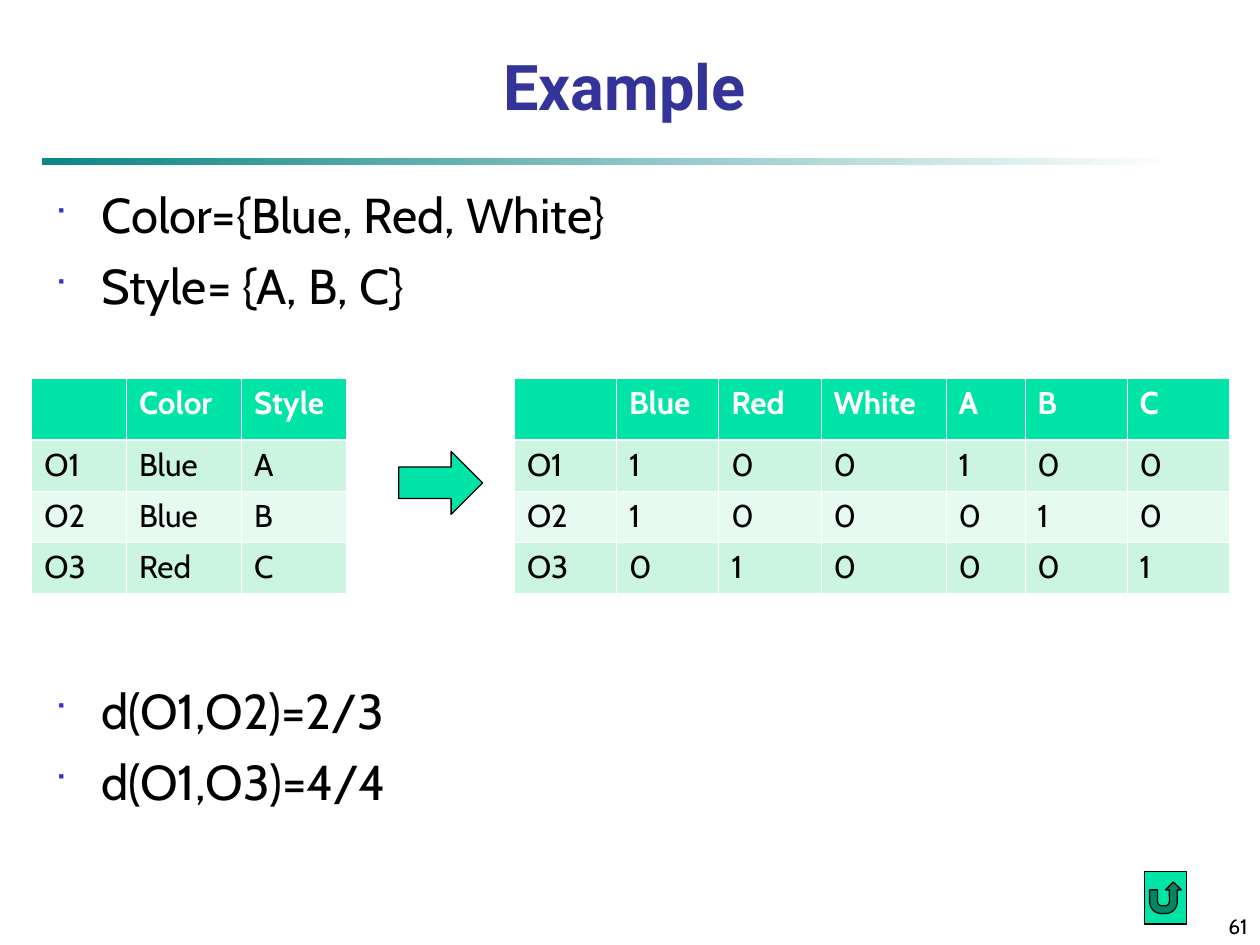
import pptx
import pptx.util
import pptx.dml.color
import pptx.enum.shapes
import pptx.enum.text
import pptx.oxml
import pptx.oxml.ns
from lxml import etree

Cm, Pt = pptx.util.Cm, pptx.util.Pt
Kind = pptx.enum.shapes.MSO_SHAPE
Align = pptx.enum.text.PP_ALIGN
Anchor = pptx.enum.text.MSO_ANCHOR
GREEN, BLACK, WHITE = "00E4A8", "000000", "FFFFFF"


def color(code):
    return pptx.dml.color.RGBColor.from_string(code)


def child(node, tag, **attrs):
    return etree.SubElement(node, pptx.oxml.ns.qn("a:" + tag), **attrs)


def area(*lengths):
    return [Cm(n) for n in lengths]


def write(para, text, font="Cabin", size=18, ink=BLACK, bold=False,
          align=Align.LEFT, before=0):
    para.alignment = align
    para.space_before = Pt(before)
    run = para.add_run()
    run.text = text
    run.font.name, run.font.size, run.font.bold = font, Pt(size), bold
    run.font.color.rgb = color(ink)


def bullet(para):
    """Give the paragraph a hanging indent and a small blue square."""
    props = para._p.get_or_add_pPr()
    indent = Cm(0.95)
    props.set("marL", str(indent))
    props.set("indent", str(-indent))
    child(child(props, "buClr"), "srgbClr", val="3333CC")
    child(props, "buSzPct", val="60000")
    child(props, "buFont", typeface="Wingdings")
    child(props, "buChar", char="■")


def border(cell, bottom, top):
    """Draw white lines around a cell; widths in points."""
    props = cell._tc.get_or_add_tcPr()
    for side, width in (("L", 0.45), ("R", 0.45), ("T", top), ("B", bottom)):
        line = child(props, "ln" + side, w=str(Pt(width)))
        child(child(line, "solidFill"), "srgbClr", val=WHITE)


class Deck:
    thin, thick = 0.45, 1.47
    bands = ("E7FAF1", "CBF5E1")

    def __init__(self):
        self.file = pptx.Presentation()
        self.file.slide_width, self.file.slide_height = area(25.4, 19.05)
        self.slide = self.file.slides.add_slide(self.file.slide_layouts[5])
        self.shapes = self.slide.shapes

    def title(self, text, box):
        shape = self.shapes.title
        shape.left, shape.top, shape.width, shape.height = area(*box)
        frame = shape.text_frame
        frame.auto_size = pptx.enum.text.MSO_AUTO_SIZE.NONE
        frame.vertical_anchor = Anchor.BOTTOM
        frame.margin_top = frame.margin_bottom = Cm(0.05)
        write(frame.paragraphs[0], text, font="Roboto", size=36,
              ink="333399", bold=True, align=Align.CENTER)

    def frame(self, box, anchor=Anchor.TOP):
        frame = self.shapes.add_textbox(*area(*box)).text_frame
        frame.word_wrap = True
        frame.vertical_anchor = anchor
        return frame

    def points(self, items, box):
        """Add a bullet list from pairs of text and space before."""
        frame = self.frame(box)
        for i, (text, before) in enumerate(items):
            para = frame.add_paragraph() if i else frame.paragraphs[0]
            bullet(para)
            write(para, text, size=28, before=before)

    def number(self, text, box):
        frame = self.frame(box, Anchor.BOTTOM)
        write(frame.paragraphs[0], text, size=12, align=Align.RIGHT)

    def shape(self, kind, box):
        shape = self.shapes.add_shape(kind, *area(*box))
        shape.shadow.inherit = False
        shape.fill.solid()
        shape.fill.fore_color.rgb = color(GREEN)
        shape.line.color.rgb = color(BLACK)
        shape.line.width = Pt(0.75)
        return shape

    def rule(self, box):
        shape = self.shape(Kind.RECTANGLE, box)
        shape.line.fill.background()
        shape.fill.gradient()
        shape.fill.gradient_angle = 0
        for stop, code in zip(shape.fill.gradient_stops, ("0D8686", WHITE)):
            stop.color.rgb = color(code)

    def table(self, rows, left, top, widths):
        heights = [1.25] + [1.03] * (len(rows) - 1)
        box = area(left, top, sum(widths), sum(heights))
        table = self.shapes.add_table(len(rows), len(widths), *box).table
        for col, width in zip(table.columns, widths):
            col.width = Cm(width)
        for r, row in enumerate(rows):
            table.rows[r].height = Cm(heights[r])
            head = r == 0
            for c, text in enumerate(row):
                cell = table.cell(r, c)
                border(cell, bottom=self.thick if head else self.thin,
                       top=self.thick if r == 1 else self.thin)
                cell.fill.solid()
                cell.fill.fore_color.rgb = color(
                    GREEN if head else self.bands[r % 2])
                if text:
                    write(cell.text_frame.paragraphs[0], text, bold=head,
                          ink=WHITE if head else BLACK)


def main():
    deck = Deck()
    deck.rule((0.85, 3.18, 22.86, 0.14))
    deck.title("Example", (0.42, 0.85, 24.34, 1.69))
    # The third point starts below the tables.
    deck.points([("Color={Blue, Red, White}", 0), ("Style= {A, B, C}", 7),
                 ("d(O1,O2)=2/3", 209), ("d(O1,O3)=4/4", 7)],
                (0.85, 3.6, 23.28, 14.39))
    deck.number("61", (20.11, 17.99, 5.29, 1.06))
    top = 7.62
    deck.table([("", "Color", "Style"),
                ("O1", "Blue", "A"),
                ("O2", "Blue", "B"),
                ("O3", "Red", "C")], 0.64, top, (1.91, 2.32, 2.12))
    deck.shape(Kind.ACTION_BUTTON_RETURN, (23.07, 17.57, 0.85, 1.06))
    deck.table([("", "Blue", "Red", "White", "A", "B", "C"),
                ("O1", *"100100"),
                ("O2", *"100010"),
                ("O3", *"010001")], 10.37, top,
               (2.06, 2.06, 2.06, 2.52, 1.59, 2.06, 2.06))
    deck.shape(Kind.RIGHT_ARROW, (8.04, 9.1, 1.69, 1.27))
    deck.file.save("out.pptx")


if __name__ == "__main__":
    main()
